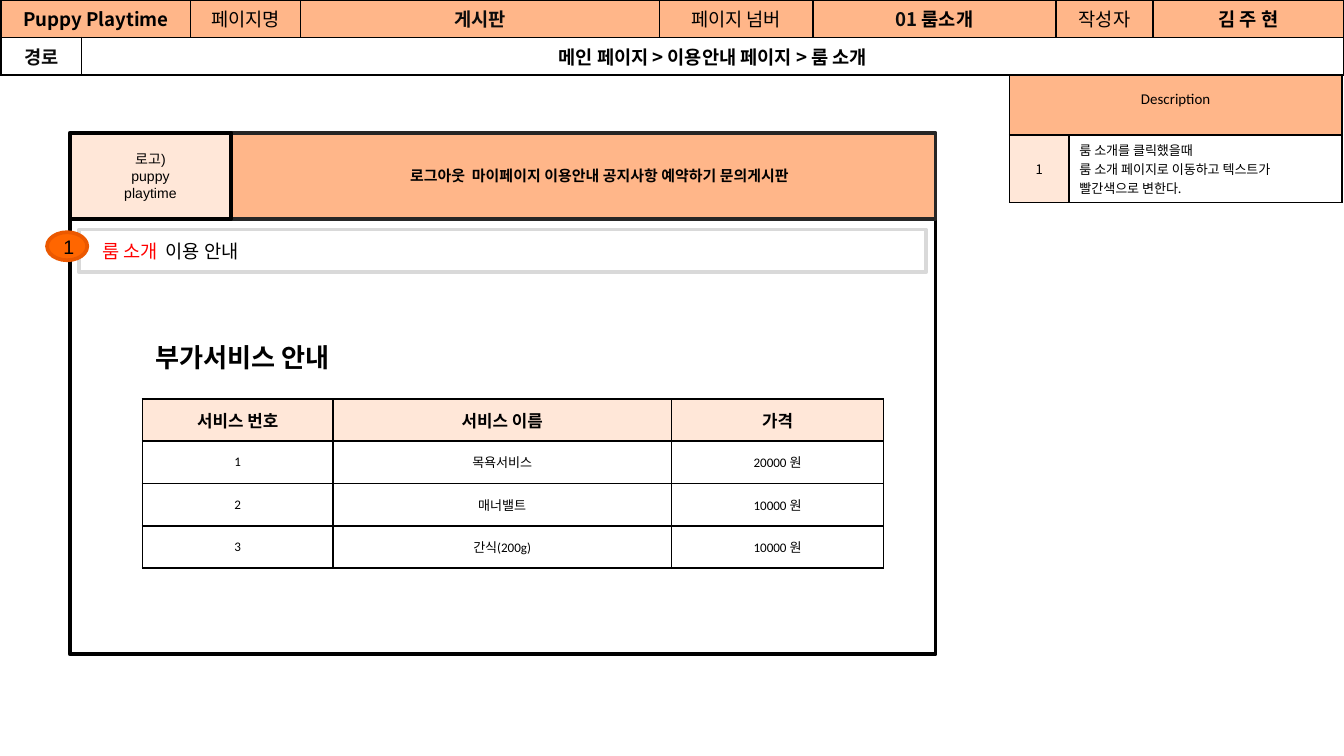
from lxml import etree
from pptx import Presentation, util as u
from pptx.dml.color import RGBColor
from pptx.enum import shapes, text
from pptx.oxml import ns

ORANGE, PEACH, WHITE = "FFB689", "FFE7D8", "FFFFFF"
BLACK, NEAR_BLACK, RED = "000000", "0C0C0C", "FF0000"
NOTO, CALIBRI, ARIAL = "Noto Sans CJK KR", "Calibri", "Arial"
LEFT, CENTER = text.PP_ALIGN.LEFT, text.PP_ALIGN.CENTER
RECTANGLE, OVAL = shapes.MSO_SHAPE.RECTANGLE, shapes.MSO_SHAPE.OVAL


def color(value):
    return RGBColor.from_string(value)


class Wireframe:
    """Draws the styled elements of a page wireframe on one slide."""

    def __init__(self, presentation):
        self.slide = presentation.slides.add_slide(presentation.slide_layouts[6])

    def set_lines(self, frame, lines, size, font, bold=False, align=CENTER):
        frame.word_wrap = True
        for index, line in enumerate(lines):
            paragraph = frame.add_paragraph() if index else frame.paragraphs[0]
            paragraph.alignment = align
            paragraph.font.size = u.Pt(size)
            paragraph.font.name = font
            paragraph.font.bold = bold
            for words, shade in [(line, BLACK)] if isinstance(line, str) else line:
                run = paragraph.add_run()
                run.text = words
                run.font.color.rgb = color(shade)

    def box(self, area, fill, line, lines=(), size=8, font=NOTO, bold=False,
            align=CENTER, indent=0.2, kind=RECTANGLE):
        shape = self.slide.shapes.add_shape(kind, *map(u.Cm, area))
        shape.shadow.inherit = False
        shape.fill.solid()
        shape.fill.fore_color.rgb = color(fill)
        shape.line.color.rgb = color(line)
        shape.line.width = u.Pt(2)
        frame = shape.text_frame
        frame.vertical_anchor = text.MSO_ANCHOR.MIDDLE
        frame.margin_left, frame.margin_right = u.Cm(indent), u.Cm(0.2)
        frame.margin_top = frame.margin_bottom = u.Cm(0.1)
        self.set_lines(frame, lines, size, font, bold, align)

    def heading(self, area, words, size):
        shape = self.slide.shapes.add_textbox(*map(u.Cm, area))
        self.set_lines(shape.text_frame, [words], size, CALIBRI, True, LEFT)

    def grid(self, left, top, widths, heights):
        shape = self.slide.shapes.add_table(
            len(heights), len(widths), u.Cm(left), u.Cm(top),
            u.Cm(sum(widths)), u.Cm(sum(heights)))
        table = shape.table
        table.first_row = table.horz_banding = False
        for column, width in zip(table.columns, widths):
            column.width = u.Cm(width)
        for row, height in zip(table.rows, heights):
            row.height = u.Cm(height)
        for cell in table.iter_cells():
            self.border(cell)
        return table

    def border(self, cell):
        properties = cell._tc.get_or_add_tcPr()
        for side in ("lnL", "lnR", "lnT", "lnB"):
            edge = etree.SubElement(properties, ns.qn(f"a:{side}"), w=str(u.Pt(1)))
            fill = etree.SubElement(edge, ns.qn("a:solidFill"))
            etree.SubElement(fill, ns.qn("a:srgbClr"), val=BLACK)

    def cell(self, cell, lines, fill, size, font, bold=False, align=CENTER):
        cell.fill.solid()
        cell.fill.fore_color.rgb = color(fill)
        cell.vertical_anchor = text.MSO_ANCHOR.MIDDLE
        cell.margin_left = cell.margin_right = u.Cm(0.2)
        cell.margin_top = cell.margin_bottom = u.Cm(0.1)
        self.set_lines(cell.text_frame, lines, size, font, bold, align)


def add_description(page):
    table = page.grid(19.08, 1.22, [1.12, 5.16], [1.33, 1.28])
    table.cell(0, 0).merge(table.cell(0, 1))
    page.cell(table.cell(0, 0), ["Description"], ORANGE, 8, CALIBRI)
    page.cell(table.cell(1, 0), ["1"], PEACH, 7, NOTO)
    note = ["룸 소개를 클릭했을때", "룸 소개 페이지로 이동하고 텍스트가", "빨간색으로 변한다."]
    page.cell(table.cell(1, 1), note, WHITE, 7, NOTO, align=LEFT)


def add_header(page):
    table = page.grid(0.02, 0, [1.52, 2.06, 2.08, 6.78, 2.9, 4.6, 1.83, 3.61], [0.61] * 2)
    table.cell(0, 0).merge(table.cell(0, 1))
    table.cell(1, 1).merge(table.cell(1, 7))
    entries = [
        (0, 0, "Puppy Playtime", True), (0, 2, "페이지명", False),
        (0, 3, [("게시판", NEAR_BLACK)], True), (0, 4, "페이지 넘버", False),
        (0, 5, [("01 ", NEAR_BLACK), ("룸소개", BLACK)], True),
        (0, 6, "작성자", False), (0, 7, "김 주 현", True),
        (1, 0, [("경로", NEAR_BLACK)], True),
        (1, 1, "메인 페이지 > 이용안내 페이지 > 룸 소개", True),
    ]
    for row, column, line, bold in entries:
        fill = WHITE if row else ORANGE
        page.cell(table.cell(row, column), [line], fill, 10, NOTO, bold)


def add_services(page):
    rows = [
        ("서비스 번호", "서비스 이름", "가격"),
        ("1", "목욕서비스", "20000 원"),
        ("2", "매너밸트", "10000 원"),
        ("3", "간식(200g)", "10000 원"),
    ]
    table = page.grid(2.69, 7.54, [3.6, 6.4, 4.01], [0.8] * len(rows))
    for row, entries in enumerate(rows):
        fill, size, bold = (WHITE, 7, False) if row else (PEACH, 9, True)
        for column, words in enumerate(entries):
            page.cell(table.cell(row, column), [words], fill, size, CALIBRI, bold)


def main():
    presentation = Presentation()
    presentation.slide_width, presentation.slide_height = u.Cm(25.4), u.Cm(14.29)
    page = Wireframe(presentation)
    add_description(page)
    page.box((1.32, 4.14, 16.36, 8.23), WHITE, BLACK)
    page.box((3.91, 2.51, 13.77, 1.63), ORANGE, "262626",
             ["로그아웃  마이페이지 이용안내 공지사항 예약하기 문의게시판"],
             bold=True, align=LEFT, indent=3.84)
    page.box((1.32, 2.51, 3.05, 1.63), PEACH, BLACK,
             ["로고)", "puppy", "playtime"], 7.5, ARIAL)
    add_header(page)
    add_services(page)
    page.heading((2.69, 6.32, 4.06, 0.81), "부가서비스 안내", 14)
    page.box((1.5, 4.34, 16, 0.81), WHITE, "D9D9D9",
             [[("룸 소개", RED), ("  이용 안내", BLACK)]], 10, align=LEFT, indent=0.43)
    page.box((0.89, 4.39, 0.76, 0.53), "FF6600", "EB5800", ["1"], 10.5, ARIAL, kind=OVAL)
    presentation.save("out.pptx")


if __name__ == "__main__":
    main()
